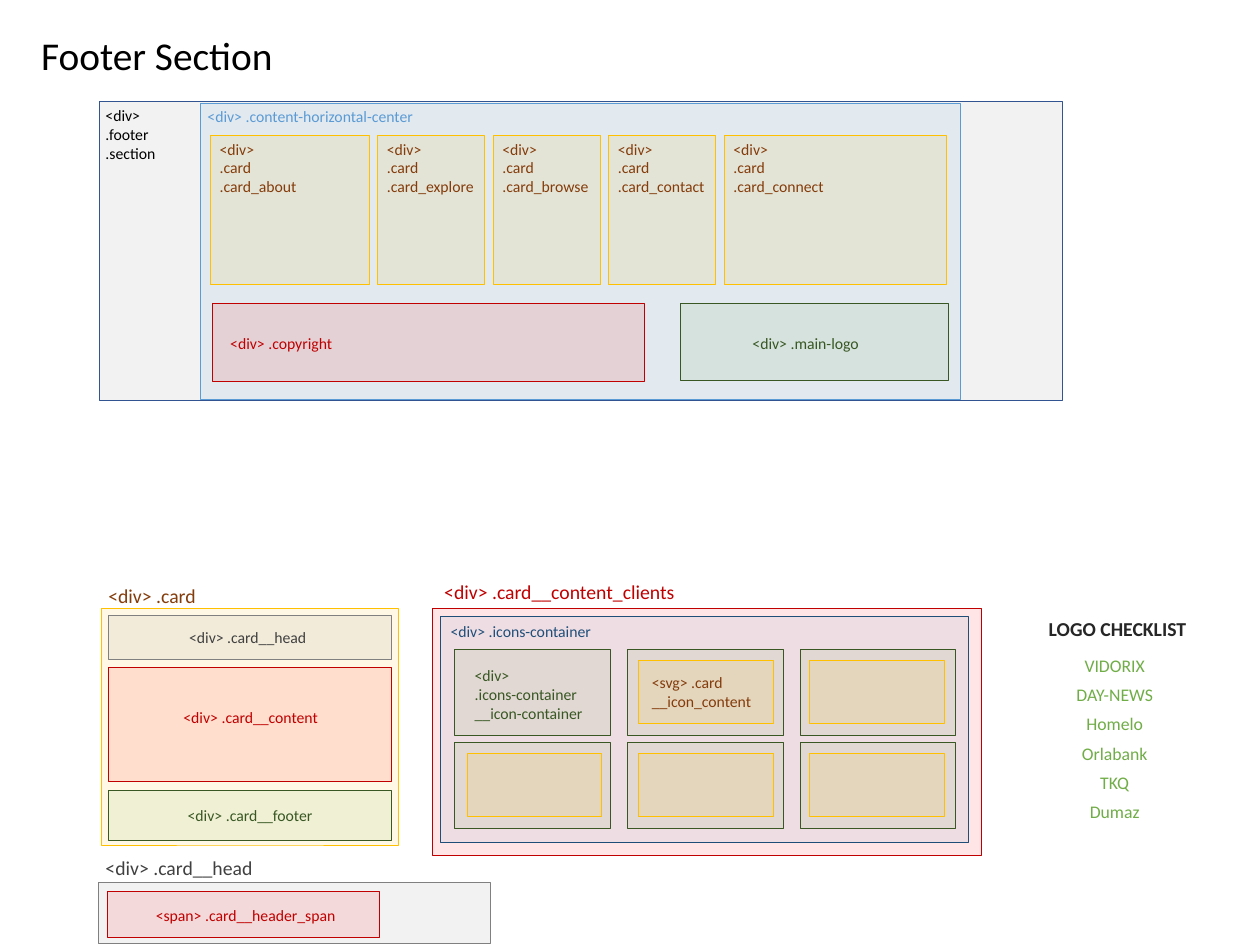
from pptx import Presentation
from pptx.dml.color import RGBColor
from pptx.enum.shapes import MSO_SHAPE as Shape
from pptx.enum.text import MSO_ANCHOR as Anchor, MSO_AUTO_SIZE as AutoSize, PP_ALIGN as Align
from pptx.oxml.ns import qn
from pptx.util import Inches, Pt
from lxml.etree import SubElement

COLUMNS, ROWS = 17.78, 13.33
FONT = "Calibri"
COLORS = {
    "black": "000000", "ink": "262626", "slate": "404040", "gray": "808080",
    "pale": "F2F2F2", "navy": "325491", "blue": "5B9BD5", "deep": "1F4E79",
    "gold": "FFC000", "brown": "843C0B", "red": "FF0000", "crimson": "C00000",
    "green": "70AD47", "forest": "385723",
}

FOOTER_FRAMES = [
    ((1.41, 1.43, 13.58, 4.22), "pale", "navy", 100),
    ((2.83, 1.46, 10.73, 4.18), "blue", "blue", 10),
    ((3.0, 4.28, 6.1, 1.1), "red", "crimson", 10),
    ((9.61, 4.28, 3.77, 1.09), "green", "forest", 10),
]
DETAIL_FRAMES = [
    ((1.43, 8.59, 4.2, 3.33), "gold", "gold", 10),
    ((1.53, 8.68, 3.99, 0.62), "gray", "gray", 10),
    ((1.53, 9.42, 3.99, 1.61), "red", "crimson", 10),
    ((1.53, 11.15, 3.99, 0.7), "green", "forest", 10),
    ((1.39, 12.45, 5.53, 0.86), "gray", "gray", 10),
    ((1.52, 12.58, 3.83, 0.65), "red", "crimson", 10),
    ((6.11, 8.59, 7.74, 3.48), "red", "crimson", 10),
    ((6.22, 8.7, 7.45, 3.19), "blue", "deep", 10),
]
LABELS = [
    ((2.83, 1.45, 5.84, 0.38), ["<div> .content-horizontal-center"], "blue", 16),
    ((1.39, 1.46, 1.98, 0.87), ["<div>", ".footer", ".section"], "black", 16),
    ((3.15, 4.57, 2.19, 0.53), ["<div> .copyright"], "crimson", 16),
    ((10.52, 4.57, 2.19, 0.53), ["<div> .main-logo"], "forest", 16),
    ((1.43, 8.28, 2.65, 0.23), ["<div> .card"], "brown", 20),
    ((2.57, 8.88, 2.65, 0.23), ["<div> .card__head"], "slate", 16),
    ((2.49, 9.85, 2.19, 0.53), ["<div> .card__content"], "crimson", 16),
    ((2.55, 11.23, 2.19, 0.53), ["<div> .card__footer"], "forest", 16),
    ((1.39, 12.13, 2.65, 0.23), ["<div> .card__head"], "slate", 20),
    ((2.1, 12.64, 2.83, 0.53), ["<span> .card__header_span"], "crimson", 16),
    ((6.17, 8.06, 6.3, 0.56), ["<div> .card__content_clients"], "crimson", 20),
    ((6.26, 8.6, 4.23, 0.6), ["<div> .icons-container"], "deep", 16),
    ((6.6, 9.23, 1.81, 1.13), ["<div>", ".icons-container", "__icon-container"], "forest", 16),
    ((9.1, 9.36, 1.73, 0.79), ["<svg> .card", "__icon_content"], "brown", 16),
]
CARDS = [("about", 2.24), ("explore", 1.51), ("browse", 1.51), ("contact", 1.51), ("connect", 3.14)]
CARD_LEFT, CARD_TOP, CARD_HEIGHT, CARD_GAP = 2.97, 1.91, 2.11, 0.12
ICON_ROWS, ICON_COLUMNS = 2, 3
CLIENTS = ["VIDORIX", "DAY-NEWS", "Homelo", "Orlabank", "TKQ", "Dumaz"]


def place(box, area):
    box.left, box.top, box.width, box.height = (Inches(length) for length in area)


def write(para, words, color, size, bold=False):
    span = para.add_run()
    span.text = words
    span.font.name, span.font.size, span.font.bold = FONT, Pt(size), bold
    span.font.color.rgb = RGBColor.from_string(COLORS[color])


def add_frame(page, area, fill, line, opacity=10):
    box = page.shapes.add_shape(Shape.RECTANGLE, *(Inches(length) for length in area))
    box.shadow.inherit = False
    box.fill.solid()
    box.fill.fore_color.rgb = RGBColor.from_string(COLORS[fill])
    if opacity < 100:
        tint = box.fill._xPr.find(qn("a:solidFill"))[0]
        SubElement(tint, qn("a:alpha")).set("val", str(opacity * 1000))
    box.line.color.rgb = RGBColor.from_string(COLORS[line])
    box.line.width = Pt(1)


def add_label(page, area, lines, color, size, bold=False, align=Align.LEFT):
    frame = page.shapes.add_textbox(*(Inches(length) for length in area)).text_frame
    frame.word_wrap = True
    frame.vertical_anchor = Anchor.MIDDLE
    for row, words in enumerate(lines):
        para = frame.paragraphs[0] if row == 0 else frame.add_paragraph()
        para.alignment = align
        write(para, words, color, size, bold)


def add_title(page):
    box = page.shapes.title
    place(box, (0.48, 0.39, 3.51, 0.77))
    frame = box.text_frame
    frame.word_wrap = False
    frame.auto_size = AutoSize.NONE
    frame.vertical_anchor = Anchor.TOP
    frame.paragraphs[0].alignment = Align.LEFT
    write(frame.paragraphs[0], "Footer Section", "black", 40)


def add_cards(page):
    left = CARD_LEFT
    for name, width in CARDS:
        add_frame(page, (left, CARD_TOP, width, CARD_HEIGHT), "gold", "gold")
        add_label(page, (left + 0.03, CARD_TOP + 0.1, width - 0.02, 0.71),
                  ["<div>", ".card", f".card_{name}"], "brown", 16)
        left += width + CARD_GAP


def add_icons(page):
    for row in range(ICON_ROWS):
        for column in range(ICON_COLUMNS):
            top = 9.16 + 1.32 * row
            add_frame(page, (6.42 + 2.44 * column, top, 2.19, 1.21), "green", "forest")
            if row or column:
                add_frame(page, (6.59 + 2.42 * column, top + 0.15, 1.9, 0.89), "gold", "gold")


def add_checklist(page):
    add_label(page, (14.27, 8.64, 3.0, 0.44), ["LOGO CHECKLIST"], "ink", 20, True, Align.CENTER)
    box = page.placeholders[1]
    place(box, (14.73, 9.18, 2.0, 2.5))
    frame = box.text_frame
    frame.auto_size = AutoSize.NONE
    frame.vertical_anchor = Anchor.TOP
    for row, client in enumerate(CLIENTS):
        para = frame.paragraphs[0] if row == 0 else frame.add_paragraph()
        para.alignment = Align.CENTER
        para.line_spacing = 1.0
        para.space_before, para.space_after = Pt(0), Pt(8.2)
        settings = para._p.get_or_add_pPr()
        settings.set("marL", "0")
        settings.set("indent", "0")
        SubElement(settings, qn("a:buNone"))
        write(para, client, "green", 18)


def main():
    deck = Presentation()
    deck.slide_width, deck.slide_height = Inches(COLUMNS), Inches(ROWS)
    page = deck.slides.add_slide(deck.slide_layouts[1])
    add_title(page)
    for frame in FOOTER_FRAMES + DETAIL_FRAMES:
        add_frame(page, *frame)
    add_cards(page)
    add_icons(page)
    for label in LABELS:
        add_label(page, *label)
    add_checklist(page)
    deck.save("out.pptx")


if __name__ == "__main__":
    main()
